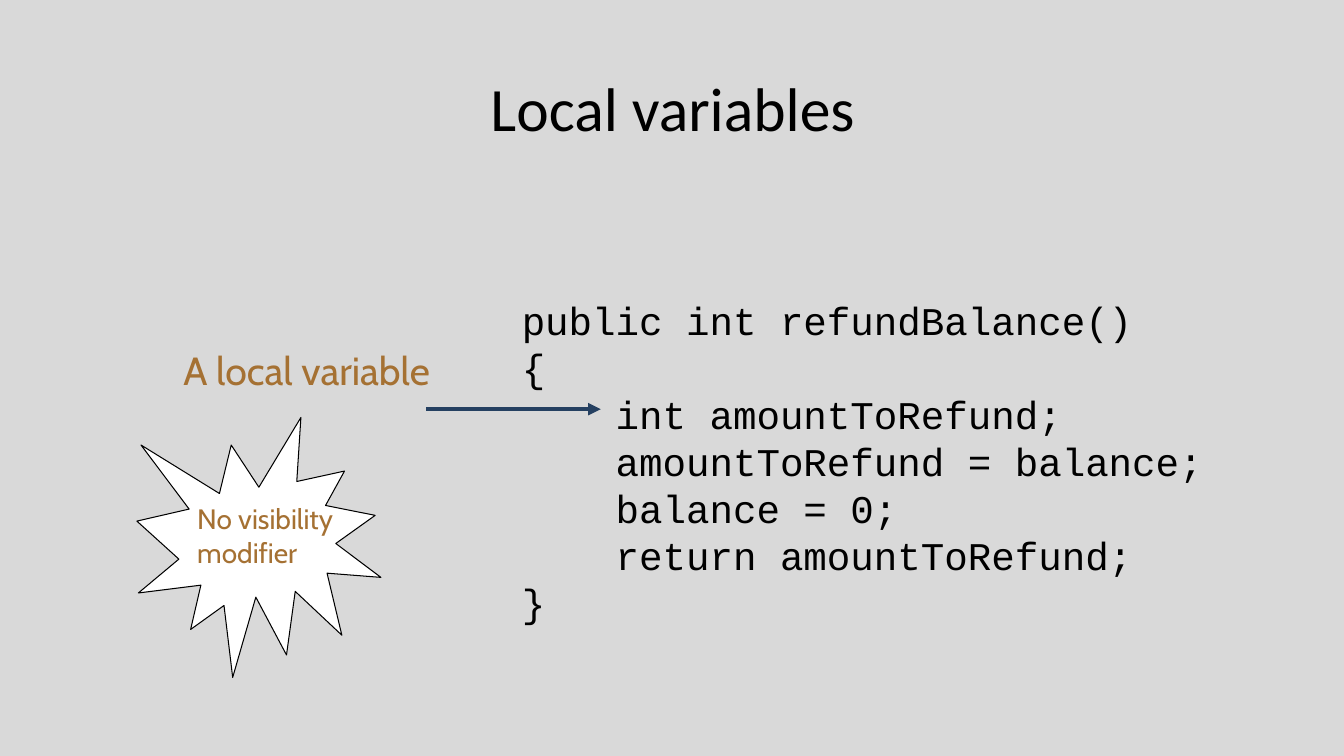
from dataclasses import dataclass

from lxml.etree import SubElement
from pptx import Presentation
from pptx.dml.color import RGBColor
from pptx.enum.shapes import MSO_CONNECTOR as Conn, MSO_SHAPE as Shape
from pptx.enum.text import MSO_ANCHOR as Anchor, PP_ALIGN as Align
from pptx.oxml.ns import qn
from pptx.util import Cm, Pt

COLORS = {
    "background": "D9D9D9",
    "text": "000000",
    "label": "A57133",
    "burst": "FFFFFF",
    "arrow": "254061",
}


@dataclass
class Label:
    text: str
    left: float
    top: float
    width: float
    height: float
    font: str
    size: int
    color: str


CODE = """public int refundBalance()
{
    int amountToRefund;
    amountToRefund = balance;
    balance = 0;
    return amountToRefund;
}"""

LABELS = [
    Label(CODE, 12.9, 7.34, 17.81, 8.64, "Courier New", 28, "text"),
    Label("A local variable", 4.37, 8.61, 7.44, 1.45, "Cabin", 28, "label"),
    Label("No visibility\nmodifier", 4.72, 12.52, 4.27, 1.96, "Cabin", 20, "label"),
]


def rgb(name: str) -> RGBColor:
    return RGBColor.from_string(COLORS[name])


def write(tf, text: str, *, font: str, size: int, color: str, align=Align.LEFT) -> None:
    """Fill a text frame, one paragraph for each line."""
    for i, line in enumerate(text.split("\n")):
        p = tf.paragraphs[0] if i == 0 else tf.add_paragraph()
        p.alignment = align
        r = p.add_run()
        r.text = line
        r.font.name = font
        r.font.size = Pt(size)
        r.font.color.rgb = rgb(color)


def add_label(slide, label: Label) -> None:
    box = slide.shapes.add_textbox(
        Cm(label.left), Cm(label.top), Cm(label.width), Cm(label.height))
    box.text_frame.word_wrap = False
    write(box.text_frame, label.text, font=label.font, size=label.size, color=label.color)


def add_burst(slide) -> None:
    sp = slide.shapes.add_shape(Shape.EXPLOSION1, Cm(3.45), Cm(10.52), Cm(6.15), Cm(6.55))
    sp.shadow.inherit = False
    sp.fill.solid()
    sp.fill.fore_color.rgb = rgb("burst")
    sp.line.color.rgb = rgb("text")
    sp.line.width = Pt(0.75)


def add_arrow(slide) -> None:
    arrow = slide.shapes.add_connector(
        Conn.STRAIGHT, Cm(10.74), Cm(10.31), Cm(15.14), Cm(10.31))
    arrow.line.color.rgb = rgb("arrow")
    arrow.line.width = Pt(3)
    SubElement(arrow.line._get_or_add_ln(), qn("a:tailEnd"), type="triangle")
    SubElement(arrow._element.spPr, qn("a:effectLst"))


def main() -> None:
    prs = Presentation()
    prs.slide_width, prs.slide_height = Cm(33.87), Cm(19.05)
    slide = prs.slides.add_slide(prs.slide_layouts[5])
    slide.background.fill.solid()
    slide.background.fill.fore_color.rgb = rgb("background")

    # Title
    title = slide.shapes.title
    title.left, title.top, title.width, title.height = Cm(2.03), Cm(1.09), Cm(29.85), Cm(3.18)
    title.text_frame.vertical_anchor = Anchor.MIDDLE
    write(title.text_frame, "Local variables", font="Calibri", size=44,
          color="text", align=Align.CENTER)

    # Code and labels, with the burst behind its caption
    code, variable, modifier = LABELS
    add_label(slide, code)
    add_label(slide, variable)
    add_burst(slide)
    add_label(slide, modifier)

    # Arrow to the declaration
    add_arrow(slide)

    prs.save("out.pptx")


if __name__ == "__main__":
    main()
